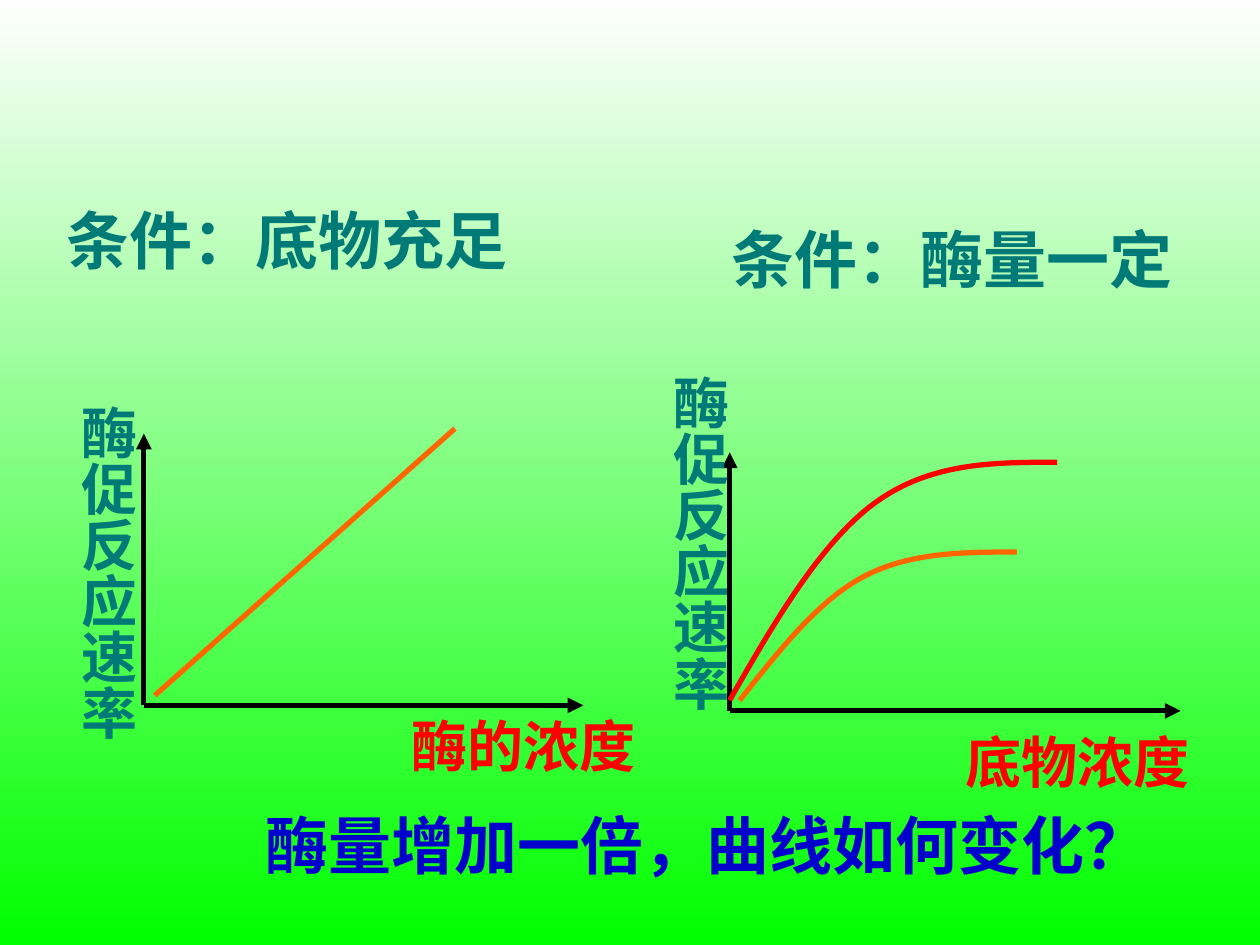
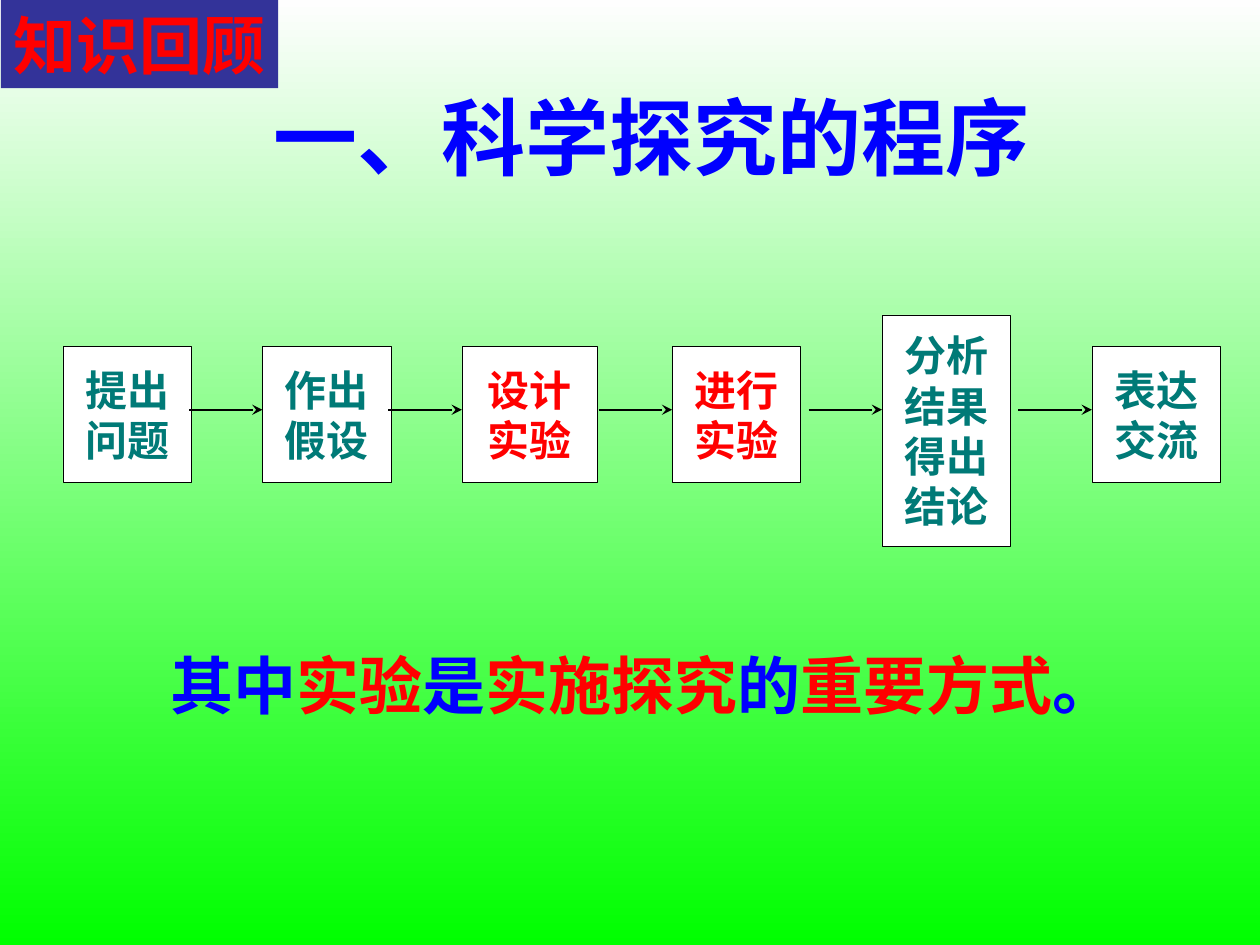
from dataclasses import dataclass

from lxml.etree import SubElement
from pptx import Presentation
from pptx.dml.color import RGBColor
from pptx.enum.shapes import MSO_CONNECTOR, MSO_SHAPE
from pptx.enum.text import MSO_ANCHOR, PP_ALIGN
from pptx.oxml.ns import qn
from pptx.util import Cm, Pt


@dataclass(frozen=True)
class Theme:
    sky: str = "FEFEFE"
    grass: str = "00FF00"
    teal: str = "007A77"
    red: str = "FF0000"
    orange: str = "FF6600"
    blue: str = "0000FF"
    navy: str = "0000CC"
    indigo: str = "333399"
    white: str = "FFFFFF"
    black: str = "000000"
    title_size: int = 48
    statement_size: int = 36
    axis_size: int = 32
    step_size: int = 24
    east_asian_font: str = "Lato"


THEME = Theme()

# All positions and sizes are in centimetres.
GRAPHS = [
    {
        "condition": ("条件：底物充足", (1.09, 3.94, 10.21, 1.78)),
        "rate_box": (1.12, 7.92, 1.85, 7.65),
        "concentration": ("酶的浓度", (7.9, 14.22, 5.31, 1.63)),
        "origin": (2.9, 14.22), "top": 8.74, "right": 11.76,
        "lines": [((3.12, 14.02), (9.17, 8.64))],
        "curves": [],
    },
    {
        "condition": ("条件：酶量一定", (14.5, 4.32, 10.9, 1.78)),
        "rate_box": (13.06, 7.32, 1.85, 7.39),
        "concentration": ("底物浓度", (19.1, 14.53, 5.26, 1.63)),
        "origin": (14.71, 14.33), "top": 9.12, "right": 23.8,
        "lines": [],
        "curves": [
            (THEME.orange, [(14.91, 14.12), (15.7, 13.13), (16.48, 12.12), (17.4, 11.63),
                            (18.34, 11.13), (19.43, 11.13), (20.5, 11.13)]),
            (THEME.red, [(14.71, 14.12), (15.62, 12.52), (16.56, 10.92), (17.65, 10.13),
                         (18.77, 9.32), (20.04, 9.32), (21.31, 9.32)]),
        ],
    },
]
RATE_LABEL = "酶促反应速率"
QUESTION = "酶量增加一倍，曲线如何变化？"

REVIEW_TAG = "知识回顾"
PROCEDURE_TITLE = "一、科学探究的程序"
STEPS = [  # text, left, width, colour, font
    ("提出问题", 1.27, 2.59, THEME.teal, "Times New Roman"),
    ("作出假设", 5.29, 2.59, THEME.teal, "Times New Roman"),
    ("设计实验", 9.31, 2.74, THEME.red, "Times New Roman"),
    ("进行实验", 13.55, 2.59, THEME.red, "Noto Sans CJK SC"),
    ("分析结果得出结论", 17.78, 2.59, THEME.teal, "Times New Roman"),
    ("表达交流", 22.01, 2.59, THEME.teal, "Times New Roman"),
]
SHORT_STEP = (6.98, 2.75)  # top, height
LONG_STEP = (6.35, 4.66)
ARROW_Y, ARROW_LENGTH = 8.26, 1.48
CONCLUSION = [
    ("其中", THEME.blue), ("实验", THEME.red), ("是", THEME.blue), ("实施探究", THEME.red),
    ("的", THEME.blue), ("重要方式", THEME.red), ("。", THEME.blue),
]


def rgb(colour):
    return RGBColor.from_string(colour)


def add_text(slide, text, box, *, size, font="Lato", colour=THEME.black, align=PP_ALIGN.LEFT,
             anchor=MSO_ANCHOR.TOP, wrap=True, vertical=False, fill=None, outline=None):
    """Write bold text, a string or a list of (text, colour), in a box with optional fill."""
    place = [Cm(length) for length in box]
    if fill:
        shape = slide.shapes.add_shape(MSO_SHAPE.RECTANGLE, *place)
        shape.shadow.inherit = False
        shape.fill.solid()
        shape.fill.fore_color.rgb = rgb(fill)
        if outline:
            shape.line.color.rgb = rgb(outline)
            shape.line.width = Pt(0.25)
        else:
            shape.line.fill.background()
    else:
        shape = slide.shapes.add_textbox(*place)
    frame = shape.text_frame
    frame.word_wrap = wrap
    frame.vertical_anchor = anchor
    side, end = (0.13, 0.25) if vertical else (0.25, 0.13)
    frame.margin_left = frame.margin_right = Cm(side)
    frame.margin_top = frame.margin_bottom = Cm(end)
    if vertical:
        frame._txBody.bodyPr.set("vert", "eaVert")
    paragraph = frame.paragraphs[0]
    paragraph.alignment = align
    for words, run_colour in [(text, colour)] if isinstance(text, str) else text:
        run = paragraph.add_run()
        run.text = words
        run.font.name = font
        run.font.size = Pt(size)
        run.font.bold = True
        run.font.color.rgb = rgb(run_colour)
        SubElement(run.font._element, qn("a:ea"), typeface=THEME.east_asian_font)


def add_line(shapes, start, end, colour=THEME.black, width=3, head=None):
    line = shapes.add_connector(MSO_CONNECTOR.STRAIGHT, *[Cm(v) for v in (*start, *end)])
    line.line.color.rgb = rgb(colour)
    line.line.width = Pt(width)
    if head:
        SubElement(line.line._get_or_add_ln(), qn("a:tailEnd"), type=head)
    SubElement(line._element.spPr, qn("a:effectLst"))


def bezier_points(knots, samples=24):
    """Sample a chain of cubic curves whose neighbours share an end point."""
    points = [knots[0]]
    for first in range(0, len(knots) - 1, 3):
        segment = knots[first:first + 4]
        for step in range(1, samples + 1):
            t = step / samples
            weights = ((1 - t) ** 3, 3 * t * (1 - t) ** 2, 3 * t ** 2 * (1 - t), t ** 3)
            points.append(tuple(sum(w * knot[axis] for w, knot in zip(weights, segment))
                                for axis in (0, 1)))
    return points


def add_curve(slide, knots, colour):
    points = [(Cm(x), Cm(y)) for x, y in bezier_points(knots)]
    builder = slide.shapes.build_freeform(*points[0])
    builder.add_line_segments(points[1:], close=False)
    curve = builder.convert_to_shape()
    curve.shadow.inherit = False
    curve.fill.background()
    curve.line.color.rgb = rgb(colour)
    curve.line.width = Pt(3)


def add_graph(slide, graph):
    for start, end in graph["lines"]:
        add_line(slide.shapes, start, end, THEME.orange)
    axes = slide.shapes.add_group_shape().shapes
    x, y = graph["origin"]
    for tip in ((x, graph["top"]), (graph["right"], y)):
        add_line(axes, (x, y), tip, head="triangle")
    add_text(slide, RATE_LABEL, graph["rate_box"], size=THEME.axis_size, colour=THEME.teal,
             align=PP_ALIGN.CENTER, vertical=True)
    add_text(slide, *graph["concentration"], size=THEME.axis_size, colour=THEME.red,
             align=PP_ALIGN.CENTER)
    add_text(slide, *graph["condition"], size=THEME.statement_size, font="Arial",
             colour=THEME.teal)
    for colour, knots in graph["curves"]:
        add_curve(slide, knots, colour)


def build_graph_slide(slide):
    for graph in GRAPHS:
        add_graph(slide, graph)
    add_text(slide, QUESTION, (5.11, 16.13, 19, 1.78), size=THEME.statement_size,
             colour=THEME.navy)


def build_procedure_slide(slide):
    add_text(slide, PROCEDURE_TITLE, (2.34, 1.47, 21.59, 2.54), size=THEME.title_size,
             font="Noto Sans CJK SC", colour=THEME.blue, align=PP_ALIGN.CENTER,
             anchor=MSO_ANCHOR.MIDDLE)
    for text, left, width, colour, font in STEPS:
        top, height = LONG_STEP if len(text) > 4 else SHORT_STEP
        add_text(slide, text, (left, top, width, height), size=THEME.step_size, font=font,
                 colour=colour, align=PP_ALIGN.CENTER, anchor=MSO_ANCHOR.MIDDLE,
                 fill=THEME.white, outline=THEME.black)
    for _, left, *_ in STEPS[1:]:
        add_line(slide.shapes, (left - ARROW_LENGTH, ARROW_Y), (left, ARROW_Y),
                 width=1, head="stealth")
    add_text(slide, CONCLUSION, (3.18, 12.9, 20.96, 1.78), size=THEME.statement_size,
             font="Times New Roman")
    add_text(slide, REVIEW_TAG, (0.02, 0, 5.59, 1.78), size=THEME.statement_size,
             font="DejaVu Sans", colour=THEME.red, wrap=False, fill=THEME.indigo)


def paint_background(master):
    fill = master.background.fill
    fill.gradient()
    fill.gradient_angle = 270
    for stop, colour in zip(fill.gradient_stops, (THEME.sky, THEME.grass)):
        stop.color.rgb = rgb(colour)


def main():
    presentation = Presentation()
    presentation.slide_width, presentation.slide_height = Cm(25.4), Cm(19.05)
    paint_background(presentation.slide_master)
    for build in (build_graph_slide, build_procedure_slide):
        build(presentation.slides.add_slide(presentation.slide_layouts[6]))
    presentation.save("out.pptx")


if __name__ == "__main__":
    main()
